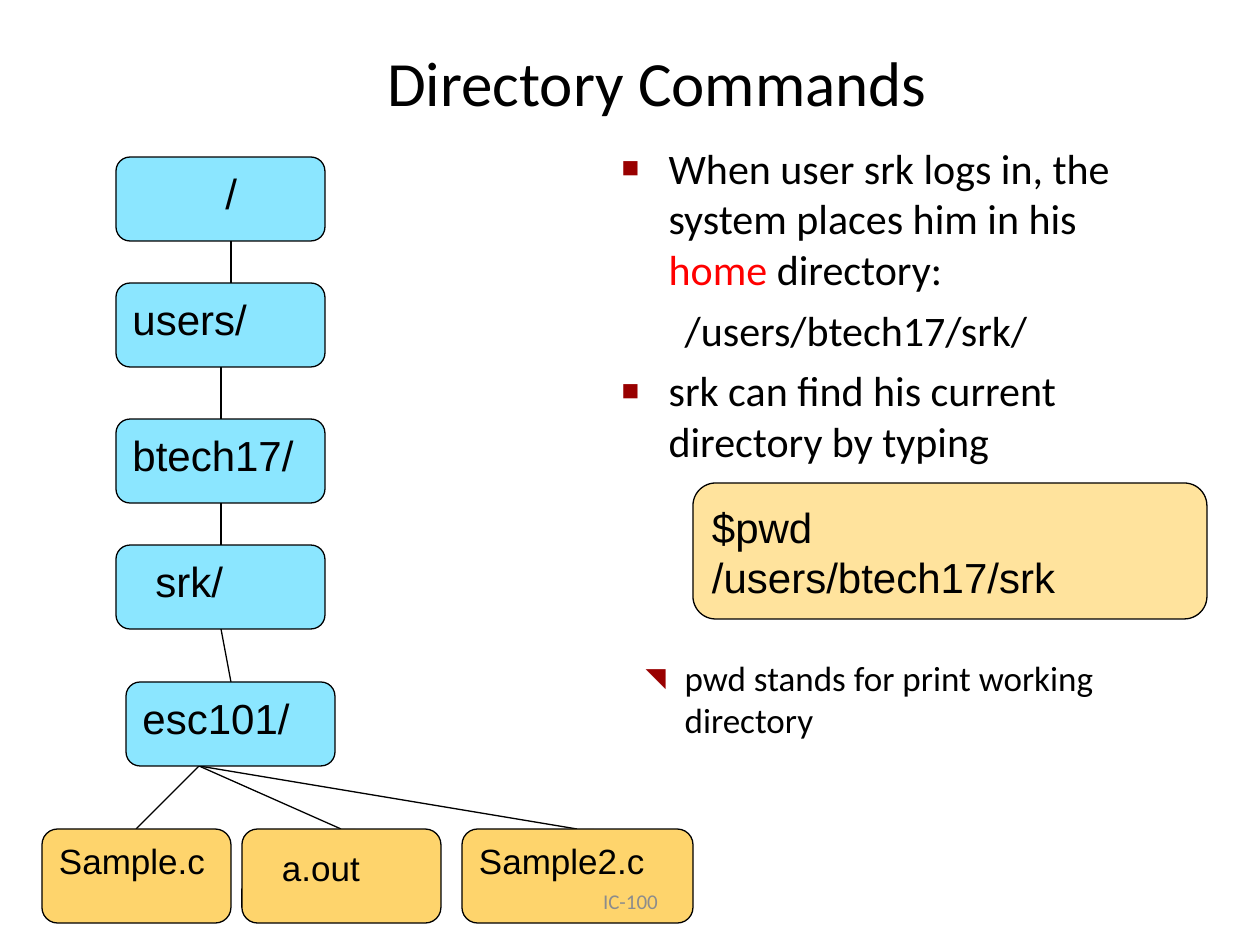
from pptx import Presentation
from pptx.dml.color import RGBColor
from pptx.enum.shapes import MSO_CONNECTOR, MSO_SHAPE
from pptx.enum.text import MSO_ANCHOR, MSO_AUTO_SIZE, PP_ALIGN
from pptx.oxml.ns import qn
from pptx.util import Pt
from lxml import etree

ROUND = MSO_SHAPE.ROUNDED_RECTANGLE
LINE = MSO_CONNECTOR.STRAIGHT
TOP, MIDDLE = MSO_ANCHOR.TOP, MSO_ANCHOR.MIDDLE
LEFT, CENTER = PP_ALIGN.LEFT, PP_ALIGN.CENTER
FIXED = MSO_AUTO_SIZE.NONE
BLACK, RED, MAROON, GRAY = "000000", "FF0000", "990000", "8C8C8C"
BLUE, GOLD, CREAM = "8BE6FF", "FED46C", "FFE39D"
SCALE = 914400 / 126


def px(n):
    return round(n * SCALE)


def color(text):
    return RGBColor.from_string(text)


def place(shape, box):
    shape.left, shape.top, shape.width, shape.height = map(px, box)


def setup(frame, anchor=TOP):
    frame.word_wrap = True
    frame.auto_size = FIXED
    frame.vertical_anchor = anchor
    return frame


def add_run(para, text, size, font="Calibri", tint=BLACK):
    run = para.add_run()
    run.text = text
    run.font.size = Pt(size)
    run.font.name = font
    run.font.color.rgb = color(tint)


def indent(para, left, first=0):
    props = para._p.get_or_add_pPr()
    props.set("marL", str(px(left)))
    props.set("indent", str(px(first)))
    return props


def bullet(props, mark, size):
    if not mark:
        etree.SubElement(props, qn("a:buNone"))
        return
    tint = etree.SubElement(props, qn("a:buClr"))
    etree.SubElement(tint, qn("a:srgbClr"), val=MAROON)
    etree.SubElement(props, qn("a:buSzPct"), val=str(size * 1000))
    etree.SubElement(props, qn("a:buFont"), typeface="Arial")
    etree.SubElement(props, qn("a:buChar"), char=mark)


def add_box(slide, box, fill, lines, size, shift=0, drop=0):
    shape = slide.shapes.add_shape(ROUND, *map(px, box))
    shape.shadow.inherit = False
    shape.fill.solid()
    shape.fill.fore_color.rgb = color(fill)
    shape.line.color.rgb = color(BLACK)
    shape.line.width = Pt(0.74)
    frame = setup(shape.text_frame)
    frame.margin_top = px(6 + drop)
    for i, text in enumerate(lines):
        para = frame.add_paragraph() if i else frame.paragraphs[0]
        para.alignment = LEFT
        indent(para, shift)
        add_run(para, text, size, "Arial")


def add_link(slide, start, end):
    link = slide.shapes.add_connector(LINE, *map(px, start + end))
    link.line.color.rgb = color(BLACK)
    link.line.width = Pt(0.74)
    etree.SubElement(link._element.spPr, qn("a:effectLst"))


def add_title(slide, box):
    title = slide.shapes.title
    place(title, box)
    para = setup(title.text_frame, MIDDLE).paragraphs[0]
    para.alignment = CENTER
    add_run(para, "Directory Commands", 36)


def add_notes(slide, box):
    body = slide.placeholders[1]
    place(body, box)
    frame = setup(body.text_frame)
    items = [
        (0, 47, -47, 6, "■", 70, 24,
         [("When user srk logs in, the system places him in his ", BLACK),
          ("home", RED), (" directory:", BLACK)]),
        (1, 63, 0, 6, "", 0, 24, [("/users/btech17/srk/", BLACK)]),
        (0, 47, -47, 6, "■", 70, 24,
         [("srk can find his current directory by typing", BLACK)]),
        (1, 63, -39, 109, "◥", 75, 20,
         [("pwd stands for print working directory", BLACK)]),
    ]
    for i, (level, left, first, gap, mark, ratio, size, runs) in enumerate(items):
        para = frame.add_paragraph() if i else frame.paragraphs[0]
        para.level = level
        para.space_before = Pt(gap)
        bullet(indent(para, left, first), mark, ratio)
        for text, tint in runs:
            add_run(para, text, size, tint=tint)


def add_tree(slide, box):
    x, y = box[:2]
    links = [
        ((189, 84), (189, 126)), ((179, 210), (179, 262)),
        ((179, 346), (179, 388)), ((179, 472), (189, 525)),
        ((157, 609), (94, 672)), ((157, 609), (299, 672)),
        ((157, 609), (535, 672)),
    ]
    for start, end in links:
        add_link(slide, (x + start[0], y + start[1]), (x + end[0], y + end[1]))
    dirs = [("/", 74, 0, 93), ("users/", 74, 126, 0), ("btech17/", 74, 262, 0),
            ("srk/", 74, 388, 23), ("esc101/", 84, 525, 0)]
    for name, left, top, shift in dirs:
        add_box(slide, (x + left, y + top, 209, 84), BLUE, [name], 24, shift)
    files = [("Sample.c", 0, 189, 0, 0), ("a.out", 200, 199, 23, 7),
             ("Sample2.c", 420, 231, 0, 0)]
    for name, left, width, shift, drop in files:
        add_box(slide, (x + left, y + 672, width, 94), GOLD, [name], 20, shift, drop)


def add_footer(slide, box):
    frame = setup(slide.shapes.add_textbox(*map(px, box)).text_frame, MIDDLE)
    para = frame.paragraphs[0]
    para.alignment = CENTER
    add_run(para, "IC-100", 12, tint=GRAY)


deck = Presentation()
deck.slide_width, deck.slide_height = px(1260), px(945)
page = deck.slides.add_slide(deck.slide_layouts[1])
add_title(page, (54, 29, 1206, 105))
add_notes(page, (609, 136, 567, 722))
add_box(page, (693, 483, 514, 136), CREAM, ["$pwd", "/users/btech17/srk"], 24, drop=6)
add_tree(page, (42, 157, 651, 766))
add_footer(page, (431, 876, 399, 50))
deck.save("out.pptx")
